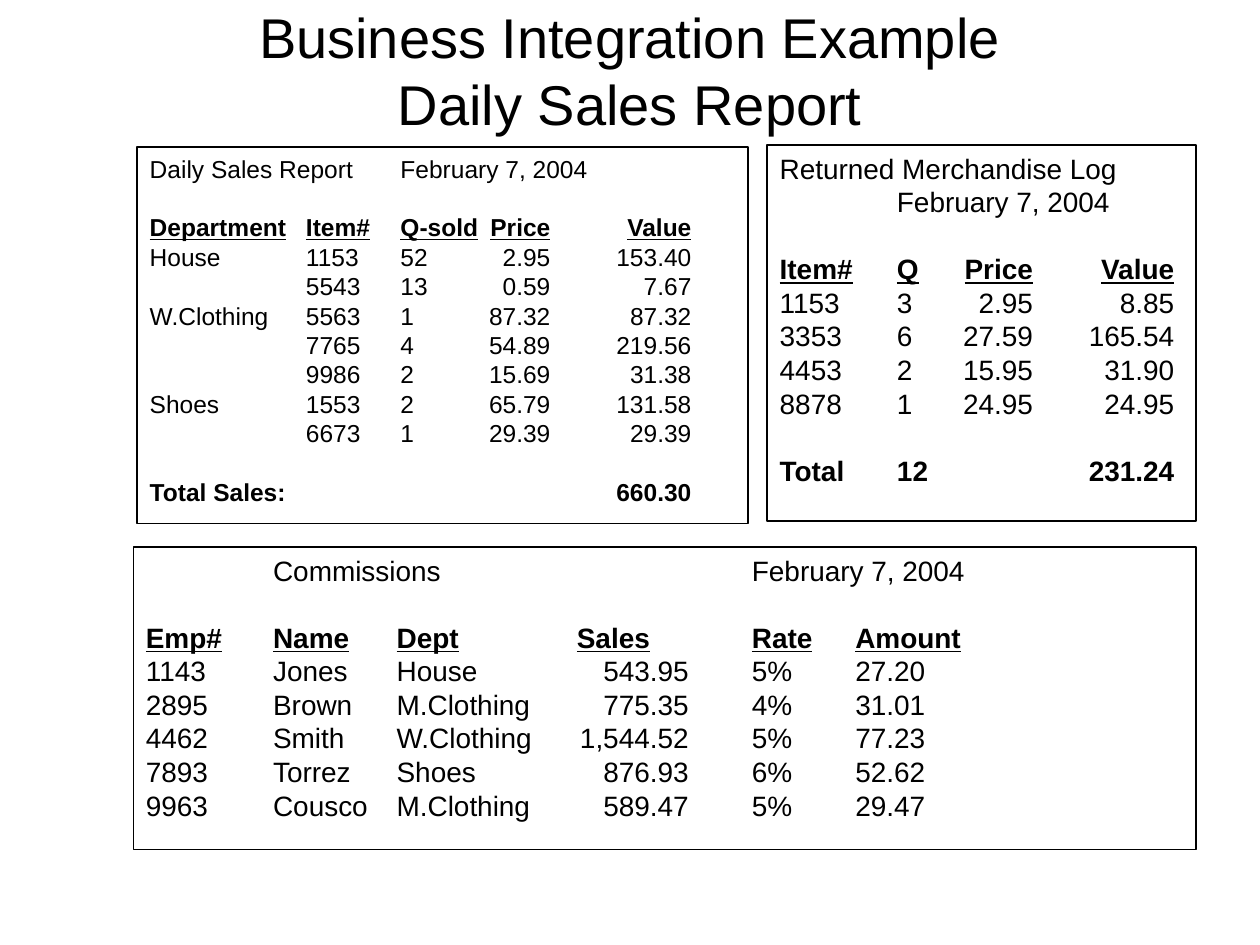
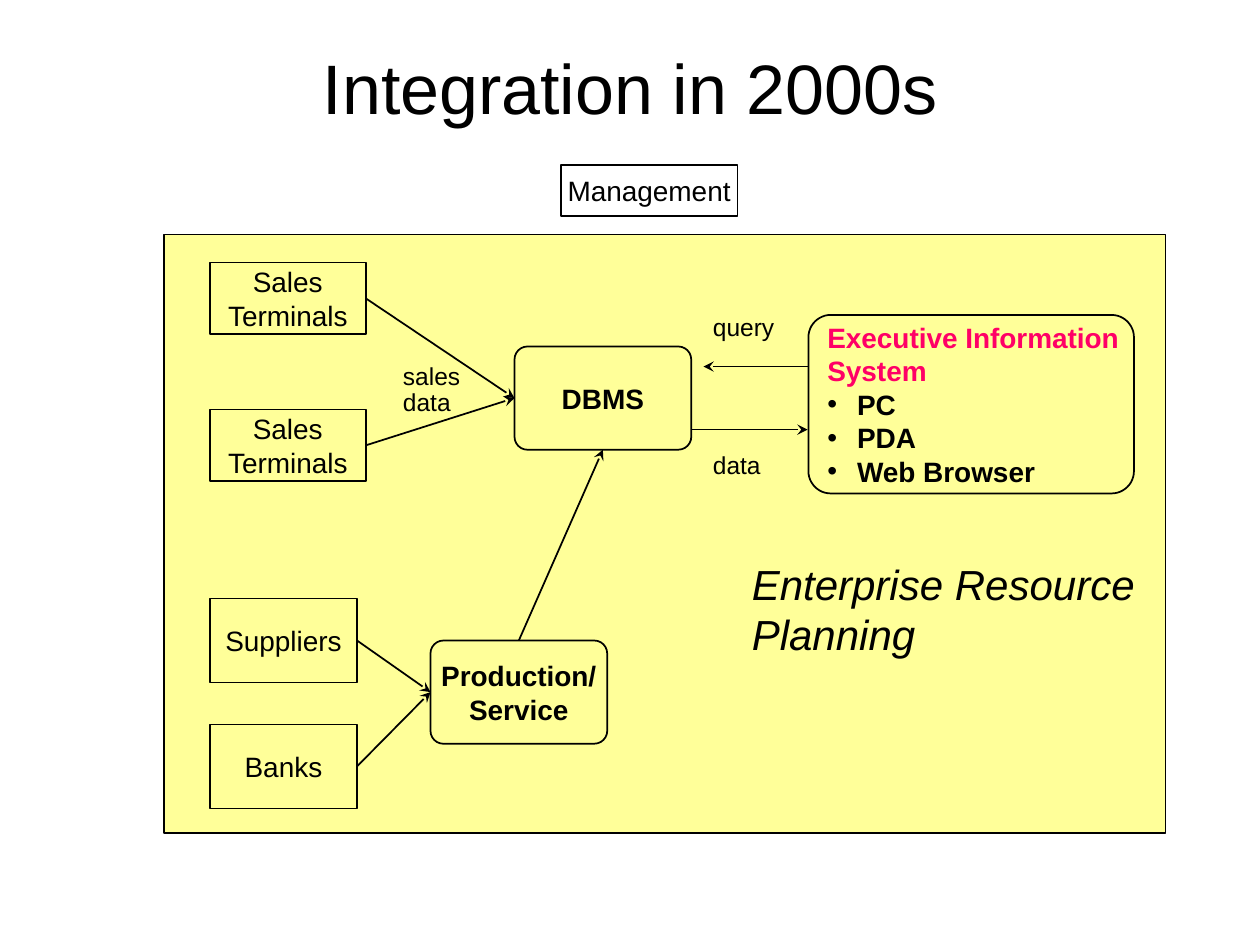
from lxml import etree
from pptx import Presentation
from pptx.dml.color import RGBColor
from pptx.enum.shapes import MSO_CONNECTOR as Connector, MSO_SHAPE as Shape
from pptx.enum.text import MSO_ANCHOR as Anchor, MSO_AUTO_SIZE as AutoSize, PP_ALIGN as Align
from pptx.oxml.ns import qn
from pptx.util import Pt

BLACK = RGBColor(0x00, 0x00, 0x00)
PINK = RGBColor(0xFF, 0x00, 0x66)
YELLOW = RGBColor(0xFF, 0xFF, 0x99)
FONT = "Arial"
LEADING = 1.2
INSET_X, INSET_Y = 7.2, 3.6
BULLET_INDENT = 17

DATE = "February 7, 2004"
REPORTS = [
    {
        "place": (78.5, 84.2, 349, 215), "size": 14,
        "tabs": [(89.3, "l"), (143.3, "l"), (229, "r"), (309.6, "r")],
        "heading": [("Daily Sales Report", DATE)],
        "columns": ("Department", "Item#", "Q-sold", "Price", "Value"),
        "rows": [
            ("House", "1153", "52", "2.95", "153.40"),
            ("", "5543", "13", "0.59", "7.67"),
            ("W.Clothing", "5563", "1", "87.32", "87.32"),
            ("", "7765", "4", "54.89", "219.56"),
            ("", "9986", "2", "15.69", "31.38"),
            ("Shoes", "1553", "2", "65.79", "131.58"),
            ("", "6673", "1", "29.39", "29.39"),
        ],
        "total": ("Total Sales:", "", "", "", "660.30"),
    },
    {
        "place": (438.5, 82.8, 244.8, 215), "size": 16,
        "tabs": [(67, "l"), (144.7, "r"), (225.4, "r")],
        "heading": [("Returned Merchandise Log",), ("", DATE)],
        "columns": ("Item#", "Q", "Price", "Value"),
        "rows": [
            ("1153", "3", "2.95", "8.85"),
            ("3353", "6", "27.59", "165.54"),
            ("4453", "2", "15.95", "31.90"),
            ("8878", "1", "24.95", "24.95"),
        ],
        "total": ("Total", "12", "", "231.24"),
    },
    {
        "place": (76.3, 312.5, 607, 173), "size": 16,
        "tabs": [(72.7, "l"), (143.3, "l"), (288, "dec"), (346.3, "l"), (405.4, "l")],
        "heading": [("", "Commissions", "", DATE)],
        "columns": ("Emp#", "Name", "Dept", "Sales", "Rate", "Amount"),
        "rows": [
            ("1143", "Jones", "House", "543.95", "5%", "27.20"),
            ("2895", "Brown", "M.Clothing", "775.35", "4%", "31.01"),
            ("4462", "Smith", "W.Clothing", "1,544.52", "5%", "77.23"),
            ("7893", "Torrez", "Shoes", "876.93", "6%", "52.62"),
            ("9963", "Cousco", "M.Clothing", "589.47", "5%", "29.47"),
        ],
        "total": None,
    },
]

ENTERPRISE = (93.6, 134, 572.4, 342)
SALES_SIZE, PARTNER_SIZE, SYSTEM_SIZE = (89, 41), (84, 48), (101, 59)
NODES = {
    "sales 1": (Shape.RECTANGLE, (120, 150, *SALES_SIZE), ["Sales", "Terminals"]),
    "sales 2": (Shape.RECTANGLE, (120, 234, *SALES_SIZE), ["Sales", "Terminals"]),
    "suppliers": (Shape.RECTANGLE, (120, 342, *PARTNER_SIZE), ["Suppliers"]),
    "banks": (Shape.RECTANGLE, (120, 414, *PARTNER_SIZE), ["Banks"]),
    "management": (Shape.RECTANGLE, (320.4, 94.3, 101, 29), ["Management"]),
    "dbms": (Shape.ROUNDED_RECTANGLE, (294, 198, *SYSTEM_SIZE), ["DBMS"]),
    "production": (Shape.ROUNDED_RECTANGLE, (246, 366, *SYSTEM_SIZE), ["Production/", "Service"]),
}
LINKS = [
    ("sales 1", 3, "dbms", 1), ("sales 2", 3, "dbms", 1),
    ("suppliers", 3, "production", 1), ("banks", 3, "production", 1),
    ("production", 0, "dbms", 2),
]
EXCHANGES = [((395, 245.5), (461.5, 245.5)), ((461.5, 209.5), (402, 209.5))]
EXECUTIVE_PLACE = (462, 180, 186, 102)
EXECUTIVE_NAME = ["Executive Information", "System"]
EXECUTIVE_TOOLS = ["PC", "PDA", "Web Browser"]
LABELS = [
    ("sales", (223.2, 203, 47.5, 24)), ("data", (223.2, 217.5, 42, 24)),
    ("query", (400.3, 175, 50, 24)), ("data", (400.3, 253.5, 42, 24)),
]
PLANNING = ("Enterprise Resource Planning", (422.5, 315.4, 234, 65))


def points(values):
    """Turn plain numbers into point lengths."""
    return [Pt(value) for value in values]


def style(para, size, color=BLACK, bold=False, underline=False, italic=False, align=Align.LEFT):
    """Format a paragraph and its runs."""
    para.alignment = align
    para.line_spacing = Pt(size * LEADING)
    for span in para.runs:
        font = span.font
        font.name, font.size, font.color.rgb = FONT, Pt(size), color
        font.bold, font.underline, font.italic = bold, underline, italic


def prepare(frame, anchor=Anchor.TOP, left=INSET_X):
    """Set wrapping, anchor and insets of a text frame."""
    frame.word_wrap = True
    frame.auto_size = AutoSize.NONE
    frame.vertical_anchor = anchor
    frame.margin_left, frame.margin_right = Pt(left), Pt(0)
    frame.margin_top = frame.margin_bottom = Pt(INSET_Y)


def add_page(deck, title, height, size):
    """Add a title-only page with its title set."""
    page = deck.slides.add_slide(deck.slide_layouts[5])
    box = page.shapes.title
    box.left, box.top, box.width, box.height = points((36, 21.6, 648, height))
    box.text_frame.text = title
    prepare(box.text_frame, Anchor.MIDDLE, 0)
    style(box.text_frame.paragraphs[0], size, align=Align.CENTER)
    return page


def add_box(page, kind, place, fill=None):
    """Add a black-outlined shape."""
    box = page.shapes.add_shape(kind, *points(place))
    box.shadow.inherit = False
    box.line.color.rgb, box.line.width = BLACK, Pt(1)
    if fill is None:
        box.fill.background()
    else:
        box.fill.solid()
        box.fill.fore_color.rgb = fill
    if kind == Shape.ROUNDED_RECTANGLE:
        box.adjustments[0] = 0.125
    return box


def add_label(page, text, place, size, italic=False):
    """Add a free-standing label."""
    frame = page.shapes.add_textbox(*points(place)).text_frame
    prepare(frame)
    frame.text = text
    style(frame.paragraphs[0], size, italic=italic)


def add_arrow(page, start=(0, 0), end=(0, 0)):
    """Add a black line with a stealth arrowhead at its end."""
    arrow = page.shapes.add_connector(Connector.STRAIGHT, *points((*start, *end)))
    arrow.line.color.rgb, arrow.line.width = BLACK, Pt(1)
    etree.SubElement(arrow.line._get_or_add_ln(), qn("a:tailEnd"), type="stealth")
    etree.SubElement(arrow._element.spPr, qn("a:effectLst"))
    return arrow


def set_tabs(para, tabs):
    """Give a paragraph its tab stops."""
    stops = etree.SubElement(para._p.get_or_add_pPr(), qn("a:tabLst"))
    for position, align in tabs:
        etree.SubElement(stops, qn("a:tab"), pos=str(int(Pt(position))), algn=align)


def set_bullet(para):
    """Give a paragraph a round bullet with a hanging indent."""
    props = para._p.get_or_add_pPr()
    props.set("marL", str(int(Pt(BULLET_INDENT))))
    props.set("indent", str(-int(Pt(BULLET_INDENT))))
    color = etree.SubElement(props, qn("a:buClr"))
    etree.SubElement(color, qn("a:srgbClr"), val=str(BLACK))
    etree.SubElement(props, qn("a:buFont"), typeface=FONT)
    etree.SubElement(props, qn("a:buChar"), char="•")


def add_report(page, report):
    """Add a framed report with tabbed columns."""
    size, columns, total = report["size"], report["columns"], report["total"]
    lines = [*report["heading"], columns, *report["rows"]] + ([total] if total else [])
    frame = add_box(page, Shape.RECTANGLE, report["place"]).text_frame
    prepare(frame)
    frame.text = "\n".join("\t".join(cells) for cells in lines)
    for para, cells in zip(frame.paragraphs, lines):
        stands_out = cells in (columns, total)
        set_tabs(para, report["tabs"])
        style(para, size, bold=stands_out, underline=cells == columns)
        if stands_out:
            para.space_before = Pt(size * LEADING)


def add_node(page, kind, place, lines):
    """Add a box with centred text, bold in rounded boxes."""
    box = add_box(page, kind, place)
    prepare(box.text_frame, Anchor.MIDDLE, 0)
    box.text_frame.text = "\n".join(lines)
    for para in box.text_frame.paragraphs:
        style(para, 16, bold=kind == Shape.ROUNDED_RECTANGLE, align=Align.CENTER)
    return box


def add_executive_system(page):
    """Add the executive information system with its tools."""
    frame = add_box(page, Shape.ROUNDED_RECTANGLE, EXECUTIVE_PLACE).text_frame
    prepare(frame, Anchor.MIDDLE)
    frame.text = "\n".join(EXECUTIVE_NAME + EXECUTIVE_TOOLS)
    for index, para in enumerate(frame.paragraphs):
        is_tool = index >= len(EXECUTIVE_NAME)
        if is_tool:
            set_bullet(para)
        style(para, 16, BLACK if is_tool else PINK, bold=True)


def build_reports(deck):
    """Build the page with the three reports."""
    page = add_page(deck, "Business Integration Example\vDaily Sales Report", 36, 32)
    for report in REPORTS:
        add_report(page, report)


def build_integration(deck):
    """Build the page with the integration diagram."""
    page = add_page(deck, "Integration in 2000s", 55.4, 40)
    add_box(page, Shape.RECTANGLE, ENTERPRISE, YELLOW)
    nodes = {name: add_node(page, *node) for name, node in NODES.items()}
    add_executive_system(page)
    for source, source_side, target, target_side in LINKS:
        arrow = add_arrow(page)
        arrow.begin_connect(nodes[source], source_side)
        arrow.end_connect(nodes[target], target_side)
    for start, end in EXCHANGES:
        add_arrow(page, start, end)
    for text, place in LABELS:
        add_label(page, text, place, 14)
    add_label(page, *PLANNING, 24, italic=True)


def main():
    """Build and save the deck."""
    deck = Presentation()
    deck.slide_width, deck.slide_height = Pt(720), Pt(540)
    build_reports(deck)
    build_integration(deck)
    deck.save("out.pptx")


if __name__ == "__main__":
    main()
